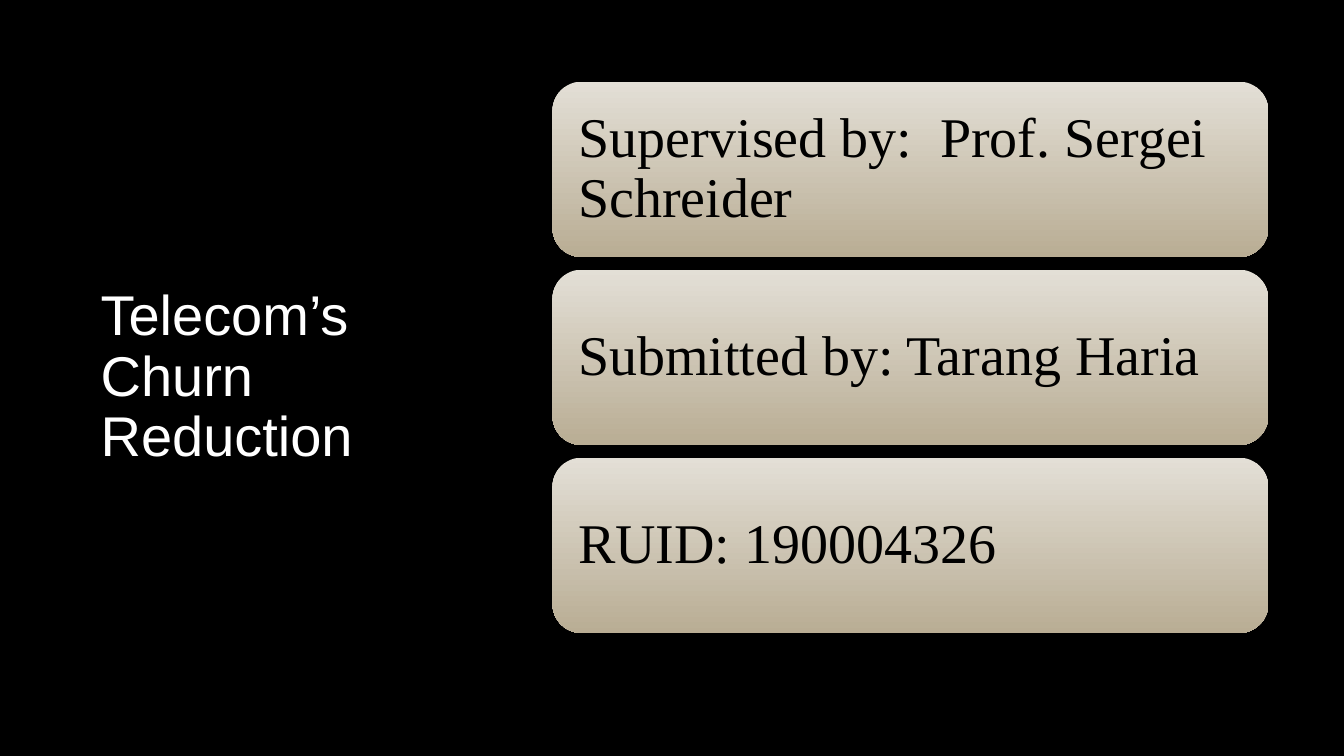
from pptx import Presentation
from pptx import util as u
from pptx.dml.color import RGBColor
from pptx.enum import shapes, text

COLORS = {
    "background": "000000",
    "title": "FFFFFF",
    "card_top": "E3DFD6",
    "card_bottom": "B9AD94",
    "card_text": "000000",
}


def rgb(name):
    return RGBColor.from_string(COLORS[name])


def write(holder, words, *, font, color, size=40, inset=0.1):
    frame = holder.text_frame
    frame.word_wrap = True
    frame.vertical_anchor = text.MSO_ANCHOR.MIDDLE
    frame.margin_left = frame.margin_right = u.Inches(inset)
    paragraph = frame.paragraphs[0]
    paragraph.alignment = text.PP_ALIGN.LEFT
    paragraph.line_spacing = 0.9
    run = paragraph.add_run()
    run.text = words
    run.font.name = font
    run.font.size = u.Pt(size)
    run.font.color.rgb = rgb(color)


deck = Presentation()
deck.slide_width, deck.slide_height = u.Inches(13.33), u.Inches(7.5)
slide = deck.slides.add_slide(deck.slide_layouts[6])
slide.background.fill.solid()
slide.background.fill.fore_color.rgb = rgb("background")

# Project title on the left
title = slide.shapes.add_textbox(
    u.Inches(0.9), u.Inches(0.96), u.Inches(3.04), u.Inches(5.58))
write(title, "Telecom’s Churn Reduction", font="Arial", color="title")

# Stack of credit cards on the right
credits = [
    "Supervised by:  Prof. Sergei Schreider",
    "Submitted by: Tarang Haria",
    "RUID: 190004326",
]
card_left, first_top = 5.48, 0.81
card_width, card_height = 7.1, 1.74
row_step = card_height + 0.125

for row, credit in enumerate(credits):
    card = slide.shapes.add_shape(
        shapes.MSO_SHAPE.ROUNDED_RECTANGLE,
        u.Inches(card_left), u.Inches(first_top + row * row_step),
        u.Inches(card_width), u.Inches(card_height))
    card.shadow.inherit = False
    card.line.fill.background()

    # Light at the top, darker at the bottom
    card.fill.gradient()
    card.fill.gradient_angle = 270
    for stop, shade, position in zip(
            card.fill.gradient_stops, ("card_top", "card_bottom"), (0, 1)):
        stop.color.rgb = rgb(shade)
        stop.position = position

    # The rounded corners already add 0.08 inch of inset
    write(card, credit, font="Times New Roman", color="card_text", inset=0.17)

deck.save("out.pptx")
